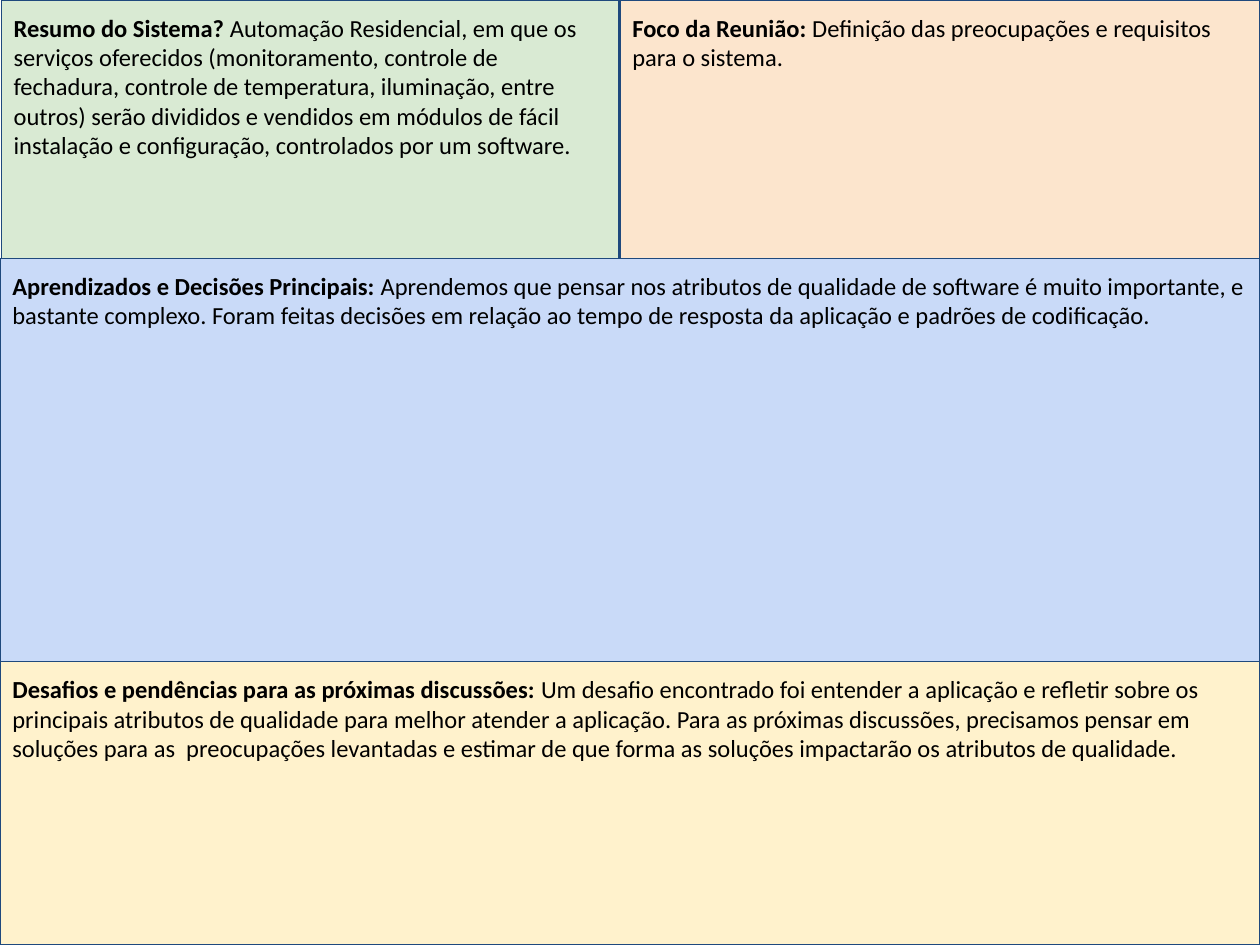
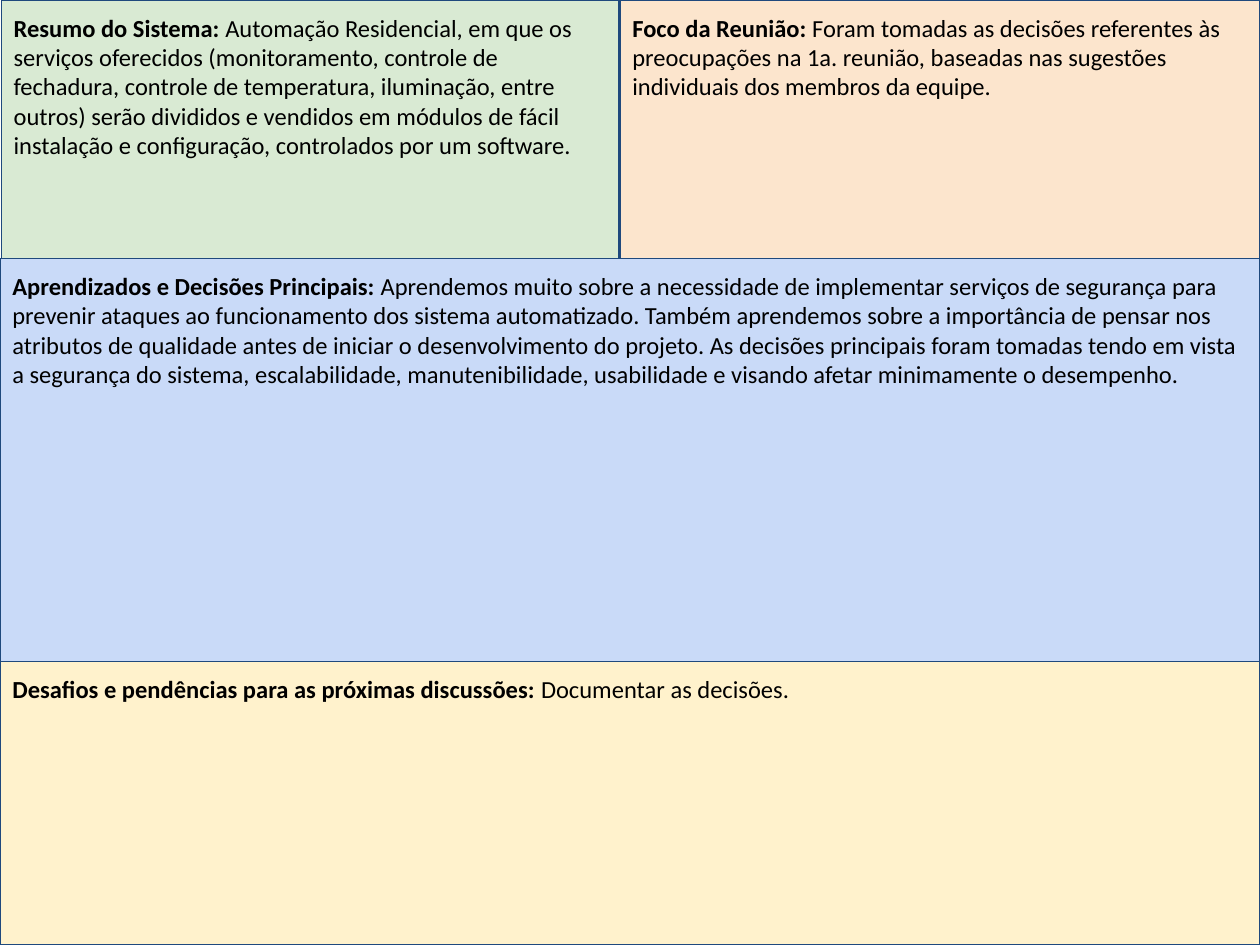
from pptx import Presentation
from pptx.dml.color import RGBColor
from pptx.enum import shapes, text
from pptx.util import Pt

WIDE, HIGH = 720, 540
TOP, MID = 147.6, 378  # lower edges of the first two rows
SPLIT = 354.24         # left edge of the focus panel
EDGE, INK = "1F497D", "000000"
FONT = {"name": "Calibri", "size": Pt(14)}
FRAME = {
    "word_wrap": True,
    "vertical_anchor": text.MSO_ANCHOR.TOP,
    **{f"margin_{side}": Pt(7.2) for side in ("left", "top", "right", "bottom")},
}

# Left, top, width, height and fill of each panel
PANELS = [
    (0.72, 0, 352.8, TOP, "D9EAD3"),
    (SPLIT, 0, WIDE - SPLIT, TOP, "FCE5CD"),
    (0, TOP, WIDE, MID - TOP, "C9DAF8"),
    (0, MID, WIDE, HIGH - MID, "FFF2CC"),
]

SYSTEM = (
    "Automação Residencial, em que os serviços oferecidos (monitoramento, "
    "controle de fechadura, controle de temperatura, iluminação, entre outros) "
    "serão divididos e vendidos em módulos de fácil instalação e configuração, "
    "controlados por um software."
)
FOCUS = "Foco da Reunião:"
LEARNED = "Aprendizados e Decisões Principais:"
PENDING = "Desafios e pendências para as próximas discussões:"

# Heading and body of each panel, one list per meeting
MEETINGS = [
    [
        ("Resumo do Sistema?", SYSTEM),
        (FOCUS, "Definição das preocupações e requisitos para o sistema."),
        (LEARNED,
         "Aprendemos que pensar nos atributos de qualidade de software é muito "
         "importante, e bastante complexo. Foram feitas decisões em relação ao "
         "tempo de resposta da aplicação e padrões de codificação."),
        (PENDING,
         "Um desafio encontrado foi entender a aplicação e refletir sobre os "
         "principais atributos de qualidade para melhor atender a aplicação. "
         "Para as próximas discussões, precisamos pensar em soluções para as  "
         "preocupações levantadas e estimar de que forma as soluções impactarão "
         "os atributos de qualidade."),
    ],
    [
        ("Resumo do Sistema:", SYSTEM),
        (FOCUS,
         "Foram tomadas as decisões referentes às preocupações na 1a. reunião, "
         "baseadas nas sugestões individuais dos membros da equipe."),
        (LEARNED,
         "Aprendemos muito sobre a necessidade de implementar serviços de "
         "segurança para prevenir ataques ao funcionamento dos sistema "
         "automatizado. Também aprendemos sobre a importância de pensar nos "
         "atributos de qualidade antes de iniciar o desenvolvimento do projeto. "
         "As decisões principais foram tomadas tendo em vista a segurança do "
         "sistema, escalabilidade, manutenibilidade, usabilidade e visando "
         "afetar minimamente o desempenho."),
        (PENDING, "Documentar as decisões."),
    ],
]


def paint(color, code):
    color.rgb = RGBColor.from_string(code)


def apply(target, values):
    for name, value in values.items():
        setattr(target, name, value)


def add_run(para, words, bold):
    run = para.add_run()
    run.text = words
    apply(run.font, {**FONT, "bold": bold})
    paint(run.font.color, INK)


def add_panel(slide, place, fill, head, body):
    box = slide.shapes.add_shape(shapes.MSO_SHAPE.RECTANGLE, *map(Pt, place))
    box.shadow.inherit = False
    box.fill.solid()
    paint(box.fill.fore_color, fill)
    paint(box.line.color, EDGE)
    box.line.width = Pt(0.75)
    apply(box.text_frame, FRAME)
    para = box.text_frame.paragraphs[0]
    para.alignment = text.PP_ALIGN.LEFT
    add_run(para, head + " ", True)
    add_run(para, body, False)


def main():
    deck = Presentation()
    apply(deck, {"slide_width": Pt(WIDE), "slide_height": Pt(HIGH)})
    blank = deck.slide_layouts[6]
    for notes in MEETINGS:
        slide = deck.slides.add_slide(blank)
        for (*place, fill), (head, body) in zip(PANELS, notes):
            add_panel(slide, place, fill, head, body)
    deck.save("out.pptx")


if __name__ == "__main__":
    main()
